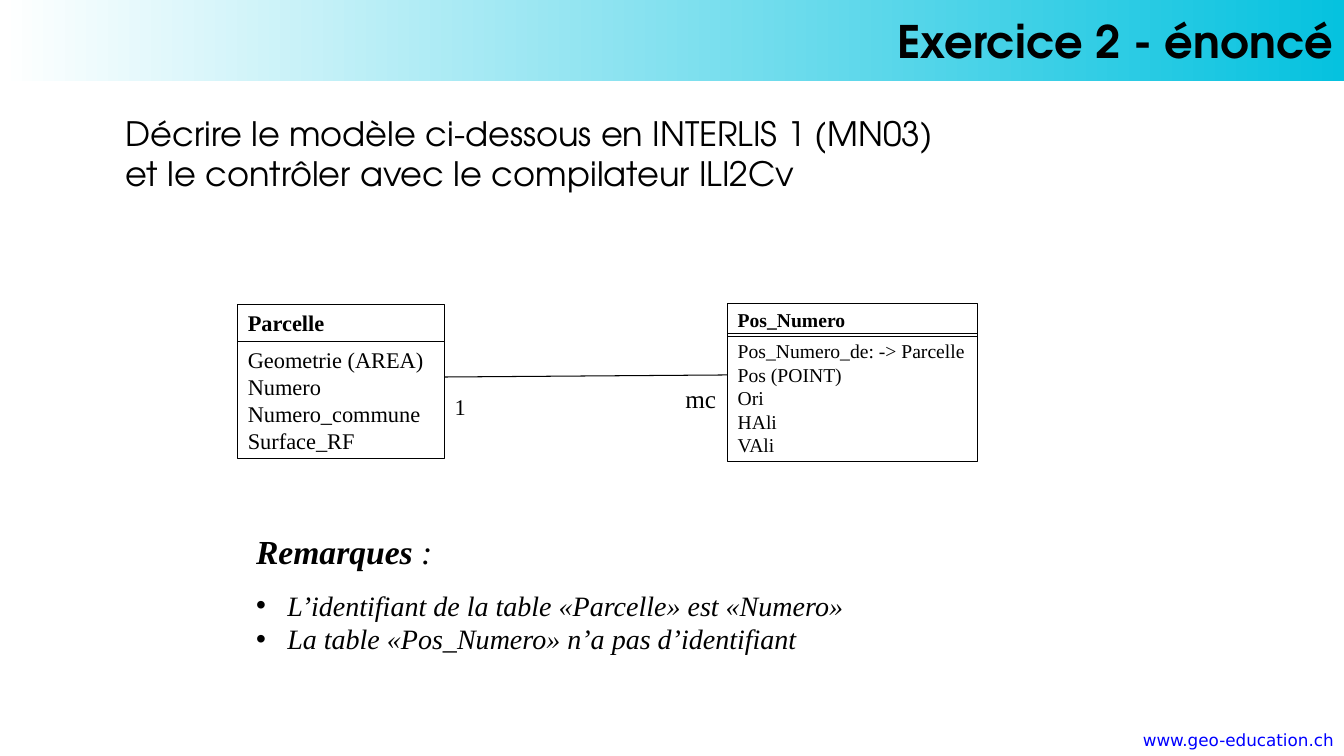
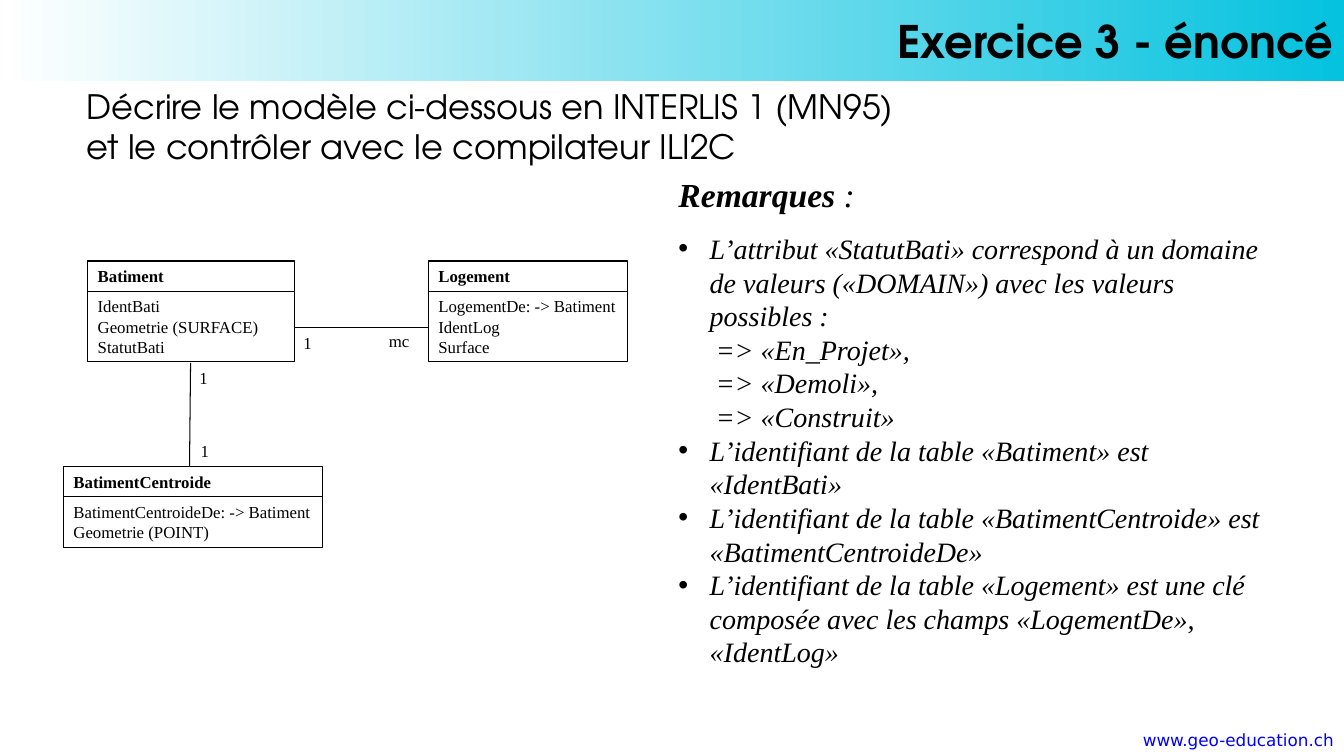
from dataclasses import dataclass

from lxml import etree
from pptx import Presentation
from pptx import util as u
from pptx.dml.color import RGBColor
from pptx.enum import shapes, text
from pptx.oxml import ns

COLOURS = {"ink": "000000", "paper": "FFFFFF", "band": "05C2DF", "link": "0000FF"}
SERIF, DISPLAY, FOOTER = "Times New Roman", "TeX Gyre Adventor", "DejaVu Sans"
WIDTH, HEIGHT = u.Inches(13.33), u.Inches(7.5)
HAIRLINE = u.Pt(0.75)
BULLET_INDENT = u.Inches(0.31)
VALUE_INDENT = u.Inches(0.37)


@dataclass(frozen=True)
class Area:
    """Shares of the slide's width and height, in percent."""

    left: float
    top: float
    width: float
    height: float


@dataclass(frozen=True)
class Entity:
    name: str
    attributes: tuple[str, ...]
    left: float
    top: float
    width: float
    size: int = 12
    overlap: float = 0


@dataclass(frozen=True)
class Link:
    start: tuple[float, float]
    end: tuple[float, float]


@dataclass(frozen=True)
class Label:
    wording: str
    left: float
    top: float
    size: int = 12


@dataclass(frozen=True)
class Remark:
    wording: str
    values: tuple[str, ...] = ()


@dataclass(frozen=True)
class Exercise:
    title: str
    statement: tuple[str, ...]
    statement_area: Area
    entities: tuple[Entity, ...]
    links: tuple[Link, ...]
    labels: tuple[Label, ...]
    remarks: tuple[Remark, ...]
    remarks_area: Area


EXERCISES = (
    Exercise(
        "Exercice 2 - énoncé",
        ("Décrire le modèle ci-dessous en INTERLIS 1 (MN03) et le contrôler avec le compilateur ILI2Cv",),
        Area(8.63, 14.27, 63.75, 12.13),
        (
            Entity("Parcelle", ("Geometrie (AREA)", "Numero", "Numero_commune", "Surface_RF"),
                   17.7, 40.27, 15.38, 16),
            Entity("Pos_Numero", ("Pos_Numero_de: -> Parcelle", "Pos (POINT)", "Ori", "HAli", "VAli"),
                   54.15, 40.13, 18.6, 14, 0.4),
        ),
        (Link((33.08, 49.87), (54.15, 49.6)),),
        (Label("1", 33.08, 51.33, 16), Label("mc", 50.25, 50, 18)),
        (
            Remark("L’identifiant de la table «Parcelle» est «Numero»"),
            Remark("La table «Pos_Numero» n’a pas d’identifiant"),
        ),
        Area(18.3, 69.6, 57.83, 26),
    ),
    Exercise(
        "Exercice 3 - énoncé",
        ("Décrire le modèle ci-dessous en INTERLIS 1 (MN95)", "et le contrôler avec le compilateur ILI2C"),
        Area(5.7, 10.67, 83.33, 12.13),
        (
            Entity("Batiment", ("IdentBati", "Geometrie (SURFACE)", "StatutBati"), 6.53, 34.53, 15.38),
            Entity("Logement", ("LogementDe: -> Batiment", "IdentLog", "Surface"), 31.88, 34.53, 14.78),
            Entity("BatimentCentroide", ("BatimentCentroideDe: -> Batiment", "Geometrie (POINT)"),
                   4.73, 61.73, 19.28),
        ),
        (Link((21.9, 43.33), (31.88, 43.33)), Link((14.18, 48), (14.1, 61.73))),
        (
            Label("1", 14.1, 48),
            Label("1", 14.18, 57.6),
            Label("1", 21.83, 43.33),
            Label("mc", 28.2, 43.07),
        ),
        (
            Remark(
                "L’attribut «StatutBati» correspond à un domaine de valeurs («DOMAIN») avec les valeurs possibles :",
                ("=> «En_Projet»,", "=> «Demoli»,", "=> «Construit»"),
            ),
            Remark("L’identifiant de la table «Batiment» est «IdentBati»"),
            Remark("L’identifiant de la table «BatimentCentroide» est «BatimentCentroideDe»"),
            Remark("L’identifiant de la table «Logement» est une clé composée avec les champs «LogementDe», «IdentLog»"),
        ),
        Area(49.73, 22.4, 45.23, 67.33),
    ),
)


def colour(name: str) -> RGBColor:
    return RGBColor.from_string(COLOURS[name])


def across(share: float) -> int:
    return round(WIDTH * share / 100)


def down(share: float) -> int:
    return round(HEIGHT * share / 100)


def frame(area: Area) -> tuple[int, int, int, int]:
    return across(area.left), down(area.top), across(area.width), down(area.height)


def place(shape, area: Area) -> None:
    shape.left, shape.top, shape.width, shape.height = frame(area)


def format_text(shape, font: str, size: int, bold: bool = False, italic: bool = False,
                ink: str = "ink", align=text.PP_ALIGN.LEFT, anchor=text.MSO_ANCHOR.TOP) -> None:
    body = shape.text_frame
    body.word_wrap = True
    body.auto_size = text.MSO_AUTO_SIZE.NONE
    body.vertical_anchor = anchor
    for para in body.paragraphs:
        para.alignment = align
        for span in para.runs:
            span.font.name, span.font.size = font, u.Pt(size)
            span.font.bold, span.font.italic = bold, italic
            span.font.color.rgb = colour(ink)


def add_text(page, area: Area, wording: str, font: str, size: int, **style) -> None:
    box = page.shapes.add_textbox(*frame(area))
    box.text_frame.text = wording
    format_text(box, font, size, **style)


def add_title(page, wording: str) -> None:
    title = page.shapes.title
    place(title, Area(0, 0, 100, 10.67))
    title.fill.gradient()
    title.fill.gradient_angle = 0
    for stop, name in zip(title.fill.gradient_stops, ("paper", "band")):
        stop.color.rgb = colour(name)
    title.text_frame.text = wording
    format_text(title, DISPLAY, 32, bold=True, align=text.PP_ALIGN.RIGHT, anchor=text.MSO_ANCHOR.MIDDLE)


def add_compartment(page, area: Area, lines: tuple[str, ...], size: int, bold: bool) -> None:
    box = page.shapes.add_shape(shapes.MSO_SHAPE.RECTANGLE, *frame(area))
    box.shadow.inherit = False
    box.fill.background()
    box.line.color.rgb = colour("ink")
    box.line.width = HAIRLINE
    box.text_frame.text = "\n".join(lines)
    format_text(box, SERIF, size, bold=bold)


def compartment_height(lines: int, size: int) -> float:
    return (7.2 + 1.2 * size * lines) / 5.4


def add_entity(page, entity: Entity) -> None:
    head = compartment_height(1, entity.size)
    rest = compartment_height(len(entity.attributes), entity.size)
    body_top = entity.top + head - entity.overlap
    add_compartment(page, Area(entity.left, body_top, entity.width, rest), entity.attributes, entity.size, False)
    add_compartment(page, Area(entity.left, entity.top, entity.width, head), (entity.name,), entity.size, True)


def add_link(page, link: Link) -> None:
    line = page.shapes.add_connector(
        shapes.MSO_CONNECTOR.STRAIGHT,
        across(link.start[0]), down(link.start[1]), across(link.end[0]), down(link.end[1]),
    )
    line.line.color.rgb = colour("ink")
    line.line.width = HAIRLINE
    etree.SubElement(line._element.spPr, ns.qn("a:effectLst"))


def set_indent(para, left: int, first: int, bullet: bool) -> None:
    para.space_before = u.Pt(0)
    properties = para._p.get_or_add_pPr()
    properties.set("marL", str(left))
    properties.set("indent", str(first))
    mark = etree.SubElement(properties, ns.qn("a:buChar" if bullet else "a:buNone"))
    if bullet:
        mark.set("char", "•")


def add_remarks(page, remarks: tuple[Remark, ...], area: Area) -> None:
    box = page.placeholders[1]
    place(box, area)
    body = box.text_frame
    heading = body.paragraphs[0]
    set_indent(heading, 0, 0, False)
    for wording in ("Remarques", " :"):
        heading.add_run().text = wording
    for remark in remarks:
        para = body.add_paragraph()
        para.text = remark.wording
        set_indent(para, BULLET_INDENT, -BULLET_INDENT, True)
        for value in remark.values:
            para = body.add_paragraph()
            para.text = value
            set_indent(para, VALUE_INDENT, 0, False)
    body.paragraphs[1].space_before = u.Pt(12)
    format_text(box, SERIF, 20, italic=True)
    for span in heading.runs:
        span.font.size = u.Pt(24)
    heading.runs[0].font.bold = True


def add_exercise(deck, exercise: Exercise) -> None:
    page = deck.slides.add_slide(deck.slide_layouts[1])
    add_title(page, exercise.title)
    add_text(page, Area(72.83, 95.87, 27.17, 4.13), "www.geo-education.ch", FOOTER, 12,
             ink="link", align=text.PP_ALIGN.RIGHT)
    add_text(page, exercise.statement_area, "\n".join(exercise.statement), DISPLAY, 24)
    for entity in exercise.entities:
        add_entity(page, entity)
    for link in exercise.links:
        add_link(page, link)
    for label in exercise.labels:
        height = compartment_height(1, label.size)
        add_text(page, Area(label.left, label.top, 5, height), label.wording, SERIF, label.size)
    add_remarks(page, exercise.remarks, exercise.remarks_area)


def main() -> None:
    deck = Presentation()
    deck.slide_width, deck.slide_height = WIDTH, HEIGHT
    for exercise in EXERCISES:
        add_exercise(deck, exercise)
    deck.save("out.pptx")


if __name__ == "__main__":
    main()
